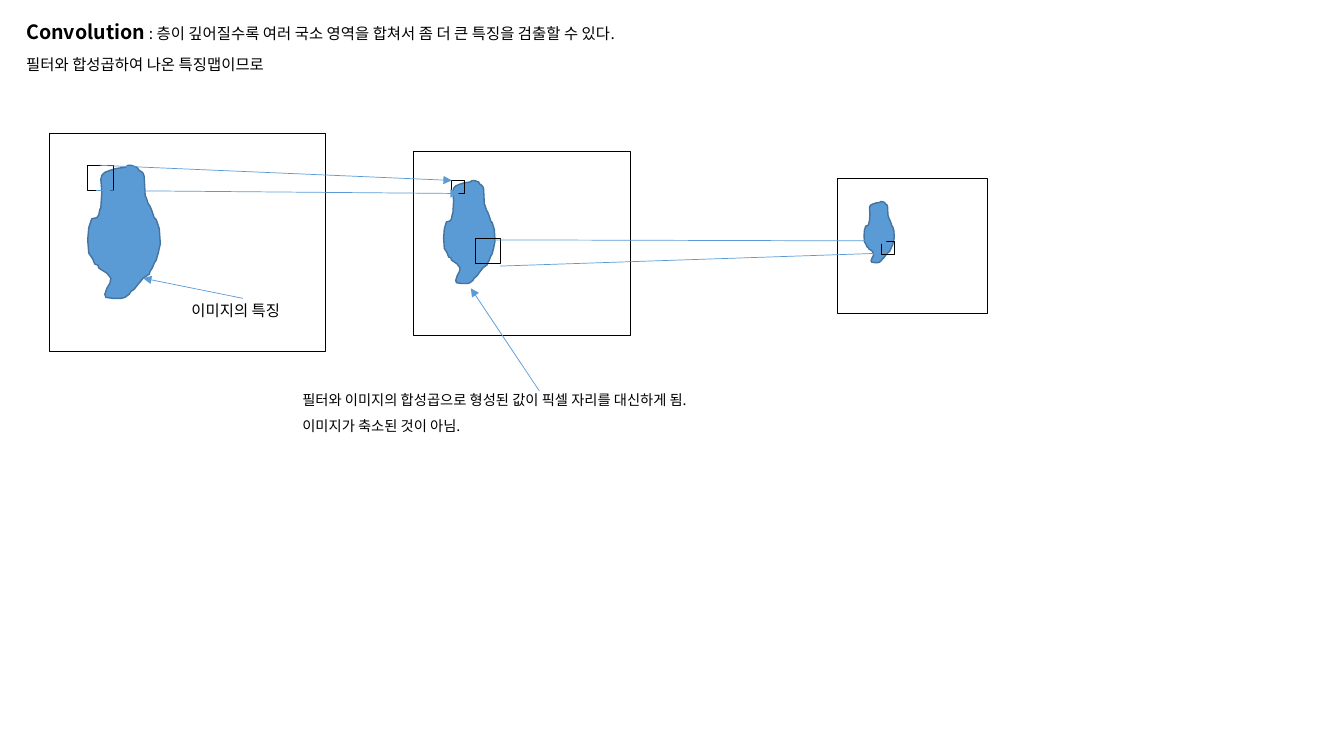
"""Build a slide showing how convolution layers gather local regions into larger features."""
from lxml import etree
from pptx import Presentation
from pptx.dml.color import RGBColor
from pptx.enum.shapes import MSO_CONNECTOR, MSO_SHAPE
from pptx.enum.text import MSO_ANCHOR, MSO_AUTO_SIZE
from pptx.oxml.ns import qn
from pptx.util import Inches, Pt

RECTANGLE = MSO_SHAPE.RECTANGLE
STRAIGHT = MSO_CONNECTOR.STRAIGHT
TOP = MSO_ANCHOR.TOP
NO_AUTOFIT = MSO_AUTO_SIZE.NONE

FONT = "Noto Sans CJK KR"
COLORS = {"ink": "000000", "paper": "FFFFFF", "feature": "5B9BD5", "feature_edge": "43739E"}

HEADING = [
    [("Convolution", 14, True),
     (" : 층이 깊어질수록 여러 국소 영역을 합쳐서 좀 더 큰 특징을 검출할 수 있다.", 11, False)],
    [("필터와 합성곱하여 나온 특징맵이므로", 11, False)],
]
HEADING_BOX = (0.16, 0.17, 13.01, 0.74)

NOTES = [
    ((1.8, 2.96, 1.22, 0.27), 0.9, [[("이미지의 특징", 11, False)]]),
    ((2.9, 3.88, 4.89, 0.49), 0.7, [
        [("필터와 이미지의 합성곱으로 형성된 값이 픽셀 자리를 대신하게 됨.", 10.2, False)],
        [("이미지가 축소된 것이 아님.", 10.2, False)],
    ]),
]

FEATURE_MAPS = [
    {"frame": (0.49, 1.32, 2.74, 2.17), "feature": (0.87, 1.64, 0.72, 1.33)},
    {"frame": (4.1, 1.5, 2.15, 1.83), "feature": (4.4, 1.79, 0.51, 1.03)},
    {"frame": (8.31, 1.77, 1.48, 1.34), "feature": (8.57, 2.0, 0.3, 0.61)},
]

OUTLINE_SIZE = (72, 133)
OUTLINE = [
    (37, 2), (29, 3), (22, 5), (17, 7), (14, 10), (13, 14), (14, 26), (13, 42), (12, 44),
    (11, 49), (9, 52), (4, 53), (2, 59), (1, 62), (0, 74), (1, 87), (5, 93), (7, 98),
    (10, 99), (11, 102), (19, 107), (23, 112), (22, 117), (19, 122), (17, 128), (18, 131),
    (25, 132), (33, 132), (37, 131), (41, 128), (43, 125), (46, 123), (50, 118), (55, 112),
    (61, 108), (62, 105), (64, 102), (66, 97), (68, 94), (69, 90), (70, 87), (71, 82),
    (72, 78), (71, 63), (69, 57), (68, 54), (66, 52), (64, 46), (62, 41), (60, 38),
    (58, 32), (57, 30), (56, 11), (55, 8), (53, 6), (51, 5), (49, 2), (43, 0), (40, 0),
]

LARGE, SMALL = 0.25, 0.13
WINDOWS_AND_ARROWS = [
    ("arrow", (2.41, 2.96), (1.42, 2.76)),
    ("window", (0.87, 1.64), LARGE),
    ("window", (4.48, 1.79), SMALL),
    ("arrow", (0.99, 1.64), (4.48, 1.79)),
    ("arrow", (0.95, 1.89), (4.55, 1.92)),
    ("arrow", (5.35, 3.88), (4.67, 2.86)),
    ("window", (4.71, 2.36), LARGE),
    ("arrow", (4.96, 2.64), (8.8, 2.51)),
    ("window", (8.74, 2.39), SMALL),
    ("arrow", (4.92, 2.38), (8.8, 2.39)),
]


def color(key):
    return RGBColor.from_string(COLORS[key])


def inches(values):
    return [Inches(value) for value in values]


def set_line(line, key, width):
    line.color.rgb = color(key)
    line.width = Pt(width)


def write(frame, paragraphs, spacing):
    frame.word_wrap = True
    frame.auto_size = NO_AUTOFIT
    frame.vertical_anchor = TOP
    frame.text = "\n".join("" for _ in paragraphs)
    for paragraph, pieces in zip(frame.paragraphs, paragraphs):
        paragraph.line_spacing = spacing
        paragraph.space_before = Pt(10)
        properties = paragraph._p.get_or_add_pPr()
        properties.set("marL", "0")
        properties.set("indent", "0")
        etree.SubElement(properties, qn("a:buNone"))
        for words, size, bold in pieces:
            run = paragraph.add_run()
            run.text = words
            run.font.size = Pt(size)
            run.font.bold = bold
            run.font.name = FONT
            run.font.color.rgb = color("ink")
            etree.SubElement(run._r.get_or_add_rPr(), qn("a:ea")).set("typeface", FONT)


def add_box(shapes, box, fill=None):
    rectangle = shapes.add_shape(RECTANGLE, *inches(box))
    rectangle.shadow.inherit = False
    if fill:
        rectangle.fill.solid()
        rectangle.fill.fore_color.rgb = color(fill)
    else:
        rectangle.fill.background()
    set_line(rectangle.line, "ink", 0.5)


def add_feature(shapes, box):
    left, top, width, height = box
    points = [
        (Inches(left + x * width / OUTLINE_SIZE[0]), Inches(top + y * height / OUTLINE_SIZE[1]))
        for x, y in OUTLINE
    ]
    builder = shapes.build_freeform(*points[0])
    builder.add_line_segments(points[1:], close=True)
    feature = builder.convert_to_shape()
    feature.shadow.inherit = False
    feature.fill.solid()
    feature.fill.fore_color.rgb = color("feature")
    set_line(feature.line, "feature_edge", 1)


def add_arrow(shapes, start, end):
    arrow = shapes.add_connector(STRAIGHT, *inches(start + end))
    set_line(arrow.line, "feature", 0.5)
    etree.SubElement(arrow.line._get_or_add_ln(), qn("a:tailEnd")).set("type", "triangle")
    etree.SubElement(arrow._element.spPr, qn("a:effectLst"))


def main():
    deck = Presentation()
    deck.slide_width, deck.slide_height = inches((13.33, 7.5))
    slide = deck.slides.add_slide(deck.slide_layouts[1])
    shapes = slide.shapes
    title = shapes.title._element
    title.getparent().remove(title)

    heading = slide.placeholders[1]
    heading.left, heading.top, heading.width, heading.height = inches(HEADING_BOX)
    write(heading.text_frame, HEADING, 0.9)

    for feature_map in FEATURE_MAPS:
        add_box(shapes, feature_map["frame"], "paper")
        add_feature(shapes, feature_map["feature"])
    for box, spacing, paragraphs in NOTES:
        write(shapes.add_textbox(*inches(box)).text_frame, paragraphs, spacing)
    for kind, start, extent in WINDOWS_AND_ARROWS:
        if kind == "window":
            add_box(shapes, start + (extent, extent))
        else:
            add_arrow(shapes, start, extent)

    deck.save("out.pptx")


if __name__ == "__main__":
    main()
